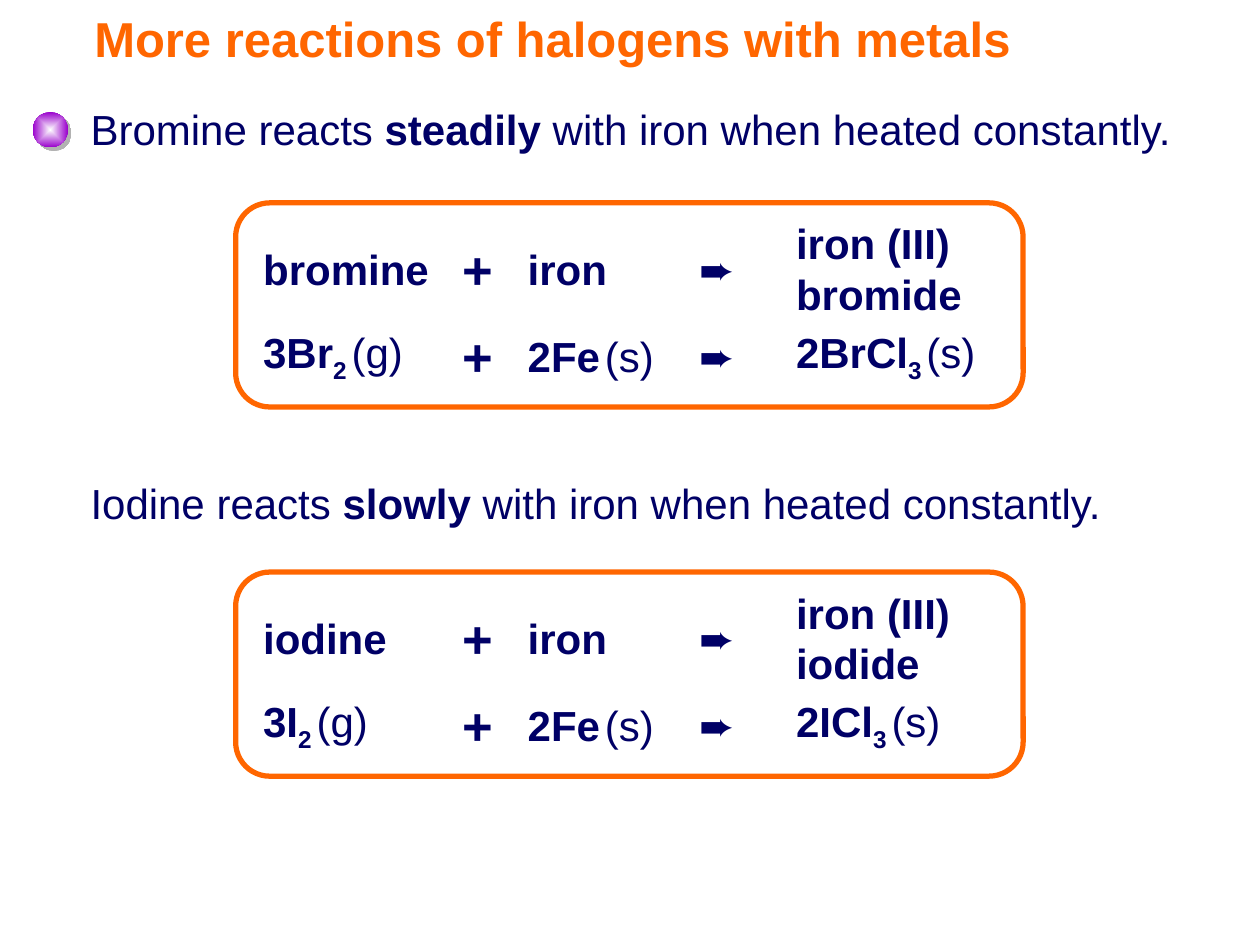
import pptx
import pptx.util
import pptx.dml.color
import pptx.enum.shapes
import pptx.enum.text
import pptx.oxml

Inches = pptx.util.Inches
ORANGE, NAVY, PURPLE, WHITE, GRAY = "FF6600", "000066", "9900CC", "FFFFFF", "B2B2B2"

# Content: every span is (text, style name)
TITLE = [("More reactions of halogens with metals", "title")]
STYLES = {  # size, bold, baseline, colour
    "title": (28, True, None, ORANGE),
    "plain": (24, False, None, NAVY),
    "bold": (24, True, None, NAVY),
    "sub": (24, True, "-25000", NAVY),
    "gap": (10, True, None, NAVY),
    "plus": (30, True, None, NAVY),
}
REACTIONS = [
    {
        "sentence": ("Bromine reacts ", "steadily"),
        "sentence_top": 0.77, "frame_top": 1.61,
        "words": ("bromine", "iron", "iron (III)\nbromide"),
        "formulas": (("3Br", "2", "(g)"), ("2Fe", "", "(s)"), ("2BrCl", "3", "(s)")),
    },
    {
        "sentence": ("Iodine reacts ", "slowly"),
        "sentence_top": 3.74, "frame_top": 4.54,
        "words": ("iodine", "iron", "iron (III)\niodide"),
        "formulas": (("3I", "2", "(g)"), ("2Fe", "", "(s)"), ("2ICl", "3", "(s)")),
    },
]
SENTENCE_END = " with iron when heated constantly."

# Equation grid: left and width of each column, row offsets inside the frame
SUBSTANCE_COLUMNS = [(1.99, 1.62), (4.09, 1.84), (6.22, 1.96)]
PLUS_COLUMN, ARROW_COLUMN = (3.57, 0.46), (5.45, 0.62)
WORD_ROW, FORMULA_ROW = 0.27, 0.96
LINE_HEIGHT, TWO_LINES, PLUS_HEIGHT = 0.5, 0.9, 0.6


def color(hex_string):
    return pptx.dml.color.RGBColor.from_string(hex_string)


def add_text(page, left, top, width, height, spans):
    box = page.shapes.add_textbox(*map(Inches, (left, top, width, height)))
    frame = box.text_frame
    frame.word_wrap = True
    frame.vertical_anchor = pptx.enum.text.MSO_ANCHOR.MIDDLE
    para = frame.paragraphs[0]
    for text, style in spans:
        size, bold, baseline, hex_string = STYLES[style]
        for index, line in enumerate(text.split("\n")):
            if index:
                para.add_line_break()
            span = para.add_run()
            span.text = line
            span.font.name = "Arial"
            span.font.size = pptx.util.Pt(size)
            span.font.bold = bold
            span.font.color.rgb = color(hex_string)
            if baseline:
                span.font._element.set("baseline", baseline)


def add_frame(page, top):
    frame = page.shapes.add_shape(
        pptx.enum.shapes.MSO_SHAPE.ROUNDED_RECTANGLE,
        Inches(1.87), Inches(top), Inches(6.25), Inches(1.62))
    frame.adjustments[0] = 0.167
    frame.shadow.inherit = False
    frame.fill.background()
    frame.line.color.rgb = color(ORANGE)
    frame.line.width = pptx.util.Pt(3)


def add_bullet_ball(page):
    ball = page.shapes.add_shape(
        pptx.enum.shapes.MSO_SHAPE.OVAL,
        Inches(0.26), Inches(0.89), Inches(0.28), Inches(0.28))
    ball.line.fill.background()
    namespace = 'xmlns:a="http://schemas.openxmlformats.org/drawingml/2006/main"'
    gradient = pptx.oxml.parse_xml(
        f'<a:gradFill {namespace} rotWithShape="1"><a:gsLst>'
        f'<a:gs pos="0"><a:srgbClr val="{WHITE}"/></a:gs>'
        f'<a:gs pos="100000"><a:srgbClr val="{PURPLE}"/></a:gs></a:gsLst>'
        '<a:path path="shape"><a:fillToRect l="50000" t="50000" r="50000" b="50000"/>'
        '</a:path></a:gradFill>')
    shadow = pptx.oxml.parse_xml(
        f'<a:effectLst {namespace}><a:outerShdw dist="35560" dir="2700000" algn="ctr" '
        f'rotWithShape="0"><a:srgbClr val="{GRAY}"/></a:outerShdw></a:effectLst>')
    properties = ball._element.spPr
    properties.insert(2, gradient)  # after the transform and the geometry
    properties.append(shadow)


def formula_spans(symbol, count, state):
    subscript = [(count, "sub")] if count else []
    return [(symbol, "bold"), *subscript, (" ", "gap"), (state, "plain")]


def add_equation_row(page, top, substances):
    for (left, width), spans in zip(SUBSTANCE_COLUMNS, substances):
        height = TWO_LINES if "\n" in spans[0][0] else LINE_HEIGHT
        add_text(page, left, top - (height - LINE_HEIGHT) / 2, width, height, spans)
    left, width = PLUS_COLUMN
    add_text(page, left, top - (PLUS_HEIGHT - LINE_HEIGHT) / 2, width, PLUS_HEIGHT,
             [("+", "plus")])
    left, width = ARROW_COLUMN
    add_text(page, left, top, width, LINE_HEIGHT, [("➨", "bold")])


def main():
    deck = pptx.Presentation()
    deck.slide_width, deck.slide_height = Inches(10), Inches(7.5)
    page = deck.slides.add_slide(deck.slide_layouts[6])

    # Heading and bullet
    add_text(page, 0.65, 0.02, 7.89, 0.57, TITLE)
    add_bullet_ball(page)

    # One sentence and one framed equation per halogen
    for reaction in REACTIONS:
        start, pace = reaction["sentence"]
        add_text(page, 0.62, reaction["sentence_top"], 9.38, LINE_HEIGHT,
                 [(start, "plain"), (pace, "bold"), (SENTENCE_END, "plain")])
        top = reaction["frame_top"]
        add_frame(page, top)
        add_equation_row(page, top + WORD_ROW,
                         [[(word, "bold")] for word in reaction["words"]])
        add_equation_row(page, top + FORMULA_ROW,
                         [formula_spans(*parts) for parts in reaction["formulas"]])

    deck.save("out.pptx")


if __name__ == "__main__":
    main()
